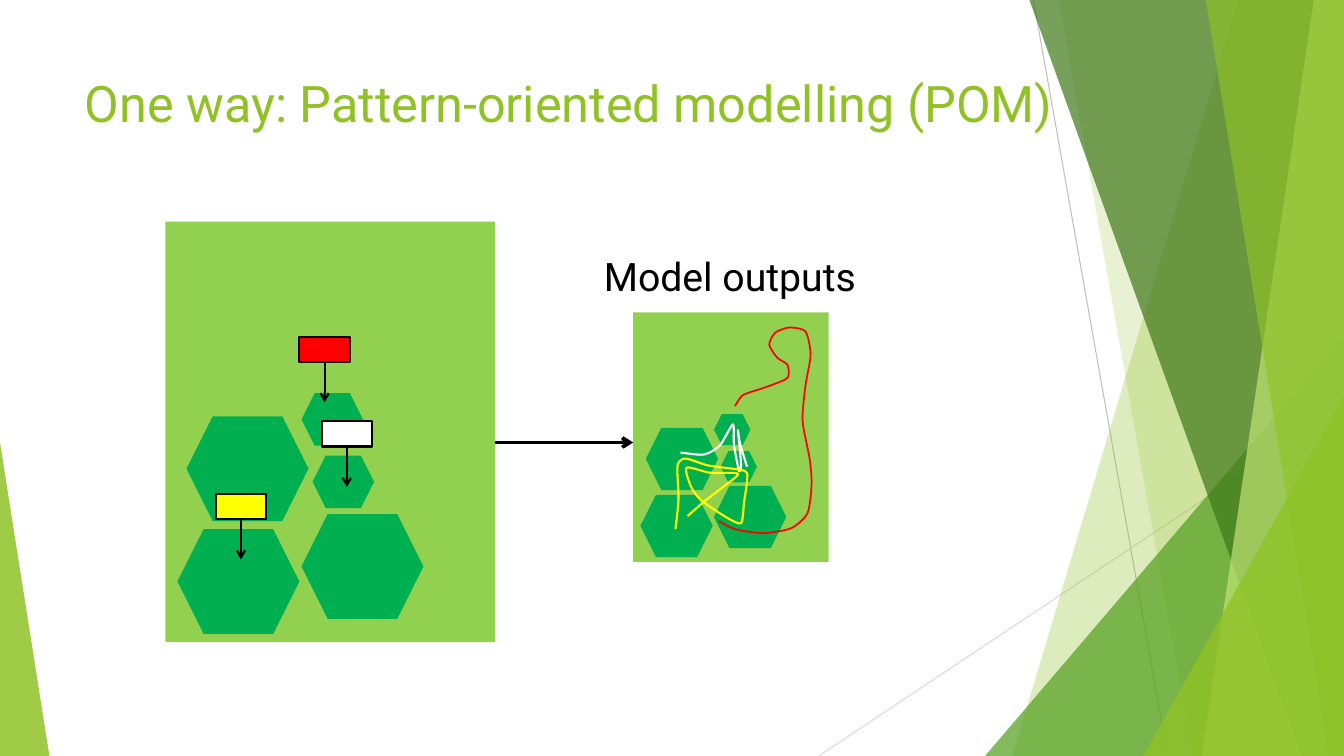
from dataclasses import dataclass

from lxml.etree import SubElement
from pptx import Presentation
from pptx.dml.color import RGBColor
from pptx.enum.shapes import MSO_CONNECTOR as Connector, MSO_SHAPE as Preset
from pptx.oxml.ns import qn
from pptx.util import Inches, Pt

WHITE = RGBColor(0xFF, 0xFF, 0xFF)
BLACK = RGBColor(0x00, 0x00, 0x00)
RED = RGBColor(0xFF, 0x00, 0x00)
YELLOW = RGBColor(0xFF, 0xFF, 0x00)
GRAY = RGBColor(0xBF, 0xBF, 0xBF)
PALE_GRAY = RGBColor(0xD9, 0xD9, 0xD9)
LIME = RGBColor(0x90, 0xC2, 0x26)
PALE_LIME = RGBColor(0xC0, 0xE4, 0x74)
LEAF = RGBColor(0x54, 0xA0, 0x21)
FOREST = RGBColor(0x3F, 0x78, 0x19)
FIELD = RGBColor(0x92, 0xD0, 0x50)
PATCH = RGBColor(0x00, 0xB0, 0x50)

PAGE_WIDTH, PAGE_HEIGHT = 13.33, 7.5

# The landscape is drawn twice: as the model, and smaller as its output
MODEL_LEFT, MODEL_TOP = 1.64, 2.2
OUTPUT_LEFT, OUTPUT_TOP = 6.28, 3.1
FIELD_WIDTH, FIELD_HEIGHT = 3.27, 4.17
OUTPUT_SCALE = 1.94 / FIELD_WIDTH
LARGE, SMALL = (1.21, 1.04), (0.61, 0.52)
PATCHES = [(0.12, 3.05, LARGE), (0.21, 1.93, LARGE), (1.35, 2.9, LARGE),
           (1.46, 2.32, SMALL), (1.35, 1.7, SMALL)]


@dataclass
class Individual:
    color: RGBColor
    box: tuple        # left and top of its marker in the model
    weight: float     # width of its track
    waypoints: list   # turns of its track, from the corner of the output field


WANDERER = Individual(RED, (2.97, 3.34), 1.25, [
    (0.85, 2.07), (1.01, 2.15), (1.29, 2.19), (1.57, 2.14), (1.73, 1.99),
    (1.77, 1.7), (1.75, 1.45), (1.68, 1.07), (1.71, 0.72), (1.76, 0.42),
    (1.71, 0.19), (1.55, 0.15), (1.41, 0.2), (1.35, 0.32), (1.43, 0.45),
    (1.53, 0.52), (1.53, 0.65), (1.32, 0.74), (1.09, 0.82), (1.01, 0.93)])
CLIMBER = Individual(WHITE, (3.19, 4.18), 1.5, [
    (0.47, 1.39), (0.7, 1.41), (0.86, 1.32), (0.99, 1.11), (1, 1.31),
    (1.05, 1.57), (1.07, 1.5), (1.04, 1.17), (1.06, 1.3), (1.13, 1.53)])
CIRCLER = Individual(YELLOW, (2.14, 4.9), 1.5, [
    (0.42, 2.15), (0.45, 1.85), (0.44, 1.52), (0.52, 1.45), (0.75, 1.52),
    (1.1, 1.57), (1.13, 1.66), (1.1, 1.88), (1.07, 2.09), (0.92, 2.03),
    (0.67, 1.86), (0.57, 1.72), (0.53, 1.54), (0.76, 1.59), (1.04, 1.6),
    (0.88, 1.74), (0.7, 1.88), (0.54, 2.02)])
INDIVIDUALS = [WANDERER, CLIMBER, CIRCLER]


def smooth(waypoints, steps=6, tension=0.35):
    """Join the waypoints by a cubic spline, with each slope set by both neighbours."""
    padded = [waypoints[0], *waypoints, waypoints[-1]]
    curve = [waypoints[0]]
    for before, start, end, after in zip(padded, padded[1:], padded[2:], padded[3:]):
        for step in range(1, steps + 1):
            t = step / steps
            blend = t * t * (3 - 2 * t)
            leave, arrive = t * (1 - t) ** 2, t * t * (t - 1)
            curve.append(tuple(
                a + (b - a) * blend
                + tension * ((b - previous) * leave + (following - a) * arrive)
                for previous, a, b, following in zip(before, start, end, after)))
    return curve


class Canvas:
    font = "Roboto"

    def __init__(self, page):
        self.shapes = page.shapes

    def paint(self, shape, fill=None, opacity=100, line=None, weight=1.5):
        shape.shadow.inherit = False
        if fill is None:
            shape.fill.background()
        else:
            shape.fill.solid()
            shape.fill.fore_color.rgb = fill
            if opacity < 100:
                color = shape.fill._xPr.find(".//" + qn("a:srgbClr"))
                SubElement(color, qn("a:alpha"), val=str(opacity * 1000))
        if line is None:
            shape.line.fill.background()
        else:
            shape.line.color.rgb = line
            shape.line.width = Pt(weight)

    def shape(self, preset, left, top, width, height, fill, adjust=None, **style):
        shape = self.shapes.add_shape(
            preset, Inches(left), Inches(top), Inches(width), Inches(height))
        if adjust is not None:
            shape.adjustments[0] = adjust
        self.paint(shape, fill, **style)

    def outline(self, points, close, **style):
        corners = [(Inches(x), Inches(y)) for x, y in points]
        builder = self.shapes.build_freeform(*corners[0], scale=1.0)
        builder.add_line_segments(corners[1:], close=close)
        self.paint(builder.convert_to_shape(), **style)

    def line(self, start, end, color, weight, arrow=False):
        line = self.shapes.add_connector(
            Connector.STRAIGHT, *(Inches(value) for value in (*start, *end)))
        line.line.color.rgb = color
        line.line.width = Pt(weight)
        if arrow:
            SubElement(line.line._get_or_add_ln(), qn("a:tailEnd"), type="arrow")
        SubElement(line._element.spPr, qn("a:effectLst"))

    def text(self, words, left, top, width, height, size, color):
        box = self.shapes.add_textbox(
            Inches(left), Inches(top), Inches(width), Inches(height))
        box.text_frame.word_wrap = True
        box.text_frame.text = words
        span = box.text_frame.paragraphs[0].runs[0]
        span.font.name = self.font
        span.font.size = Pt(size)
        span.font.color.rgb = color


def draw_backdrop(canvas):
    def band(top_left, bottom_left, fill, opacity):
        """Fill from a slanted left edge to the right side of the page."""
        canvas.outline([(top_left, 0), (PAGE_WIDTH, 0), (PAGE_WIDTH, PAGE_HEIGHT),
                        (bottom_left, PAGE_HEIGHT)], True, fill=fill, opacity=opacity)

    def corner(left, top, width, peak, fill, opacity):
        """Fill a bottom corner; the peak is 0 at its left and 1 at its right."""
        canvas.shape(Preset.ISOSCELES_TRIANGLE, left, top, width, PAGE_HEIGHT - top,
                     fill, adjust=peak, opacity=opacity)

    canvas.line((10.25, 0), (11.58, PAGE_HEIGHT), GRAY, 0.75)
    canvas.line((PAGE_WIDTH, 4.03), (8.12, PAGE_HEIGHT), PALE_GRAY, 0.75)
    band(12.28, 10.04, LIME, 30)
    band(10.5, 11.83, LIME, 20)
    corner(9.77, 3.33, 3.56, 1, LEAF, 72)
    band(10.21, 12.91, FOREST, 70)
    band(13.03, 11.92, PALE_LIME, 70)
    band(11.96, 13.18, LIME, 65)
    corner(11.34, 3.93, 1.99, 1, LIME, 80)
    corner(0, 4.39, 0.49, 0, LIME, 85)


def draw_landscape(canvas, left, top, scale=1):
    canvas.shape(Preset.RECTANGLE, left, top, FIELD_WIDTH * scale,
                 FIELD_HEIGHT * scale, FIELD)
    for x, y, (width, height) in PATCHES:
        canvas.shape(Preset.HEXAGON, left + x * scale, top + y * scale,
                     width * scale, height * scale, PATCH)


def draw_track(canvas, individual):
    points = [(OUTPUT_LEFT + x, OUTPUT_TOP + y) for x, y in smooth(individual.waypoints)]
    canvas.outline(points, False, line=individual.color, weight=individual.weight)


def draw_marker(canvas, individual, width=0.5, height=0.25, reach=0.4):
    left, top = individual.box
    canvas.shape(Preset.RECTANGLE, left, top, width, height, individual.color, line=BLACK)
    middle, bottom = left + width / 2, top + height
    canvas.line((middle, bottom), (middle, bottom + reach), BLACK, 1.5, arrow=True)


def main():
    deck = Presentation()
    deck.slide_width, deck.slide_height = Inches(PAGE_WIDTH), Inches(PAGE_HEIGHT)
    canvas = Canvas(deck.slides.add_slide(deck.slide_layouts[6]))

    draw_backdrop(canvas)
    canvas.text("One way: Pattern-oriented modelling (POM)",
                0.74, 0.67, 10.41, 1.44, 36, LIME)

    # Model, arrow and output
    draw_landscape(canvas, MODEL_LEFT, MODEL_TOP)
    draw_landscape(canvas, OUTPUT_LEFT, OUTPUT_TOP, OUTPUT_SCALE)
    canvas.line((MODEL_LEFT + FIELD_WIDTH, 4.39), (OUTPUT_LEFT, 4.39), BLACK, 2.5, arrow=True)
    canvas.text("Model outputs", 5.89, 2.45, 5.59, 1.86, 28, BLACK)

    # Each individual: a track in the output, a marker in the model
    for individual in INDIVIDUALS:
        draw_track(canvas, individual)
        draw_marker(canvas, individual)

    deck.save("out.pptx")


if __name__ == "__main__":
    main()
